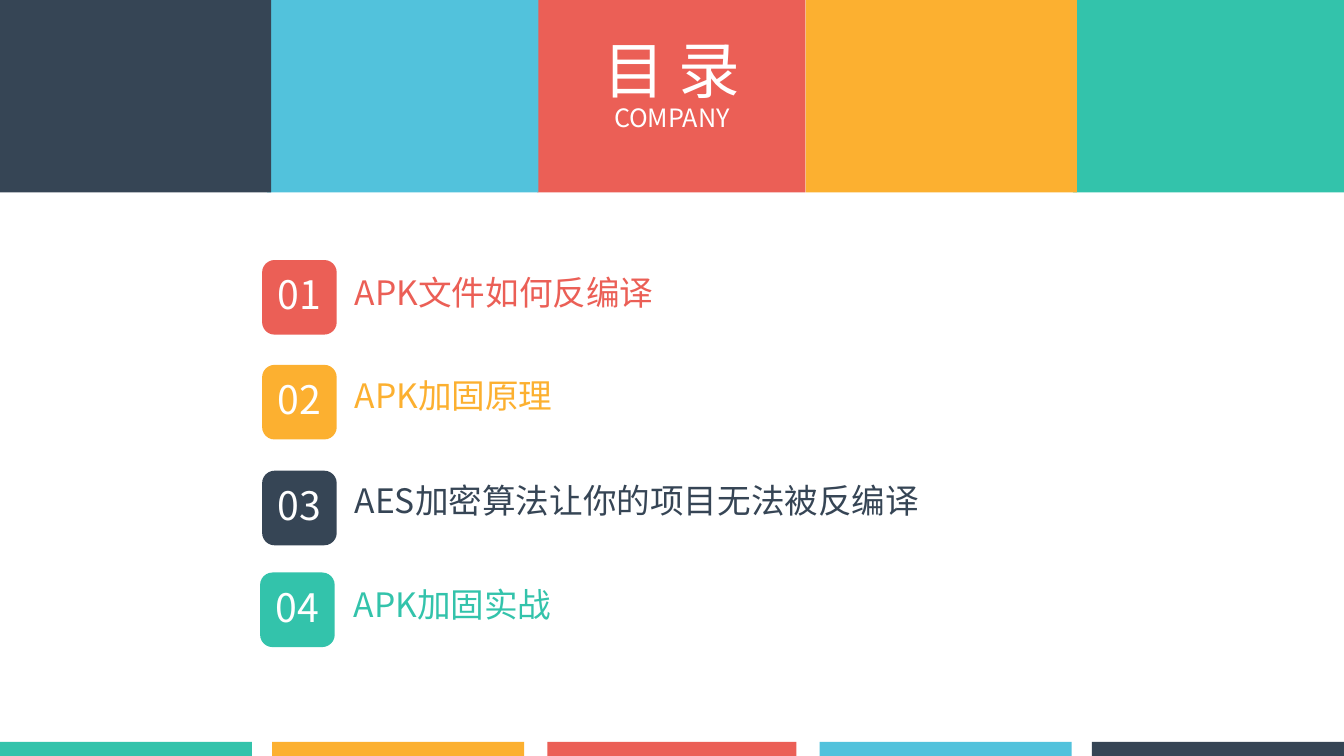
from pptx import Presentation
from pptx import util as u
from pptx.dml.color import RGBColor
from pptx.enum import shapes, text
from pptx.oxml.ns import qn
from lxml import etree

COLORS = {
    "green": "33C3AB",
    "yellow": "FCB030",
    "red": "EB5F56",
    "blue": "52C2DC",
    "navy": "364555",
    "white": "FFFFFF",
}
FONT = "Noto Sans CJK SC"


def write_text(frame, *lines, sizes, color, align=text.PP_ALIGN.LEFT,
               anchor=text.MSO_ANCHOR.TOP, wrap=True, spacing=0.87):
    frame.word_wrap = wrap
    frame.vertical_anchor = anchor
    for index, (line, size) in enumerate(zip(lines, sizes)):
        paragraph = frame.add_paragraph() if index else frame.paragraphs[0]
        paragraph.alignment = align
        paragraph.line_spacing = spacing
        run = paragraph.add_run()
        run.text = line
        run.font.size = u.Pt(size)
        run.font.name = FONT
        run.font.color.rgb = RGBColor.from_string(COLORS[color])
        east_asian = etree.SubElement(run.font._element, qn("a:ea"))
        east_asian.set("typeface", FONT)


class AgendaSlide:
    def __init__(self, presentation):
        self.slide = presentation.slides.add_slide(presentation.slide_layouts[6])

    def block(self, left, top, width, height, color,
              kind=shapes.MSO_SHAPE.RECTANGLE):
        block = self.slide.shapes.add_shape(
            kind, u.Inches(left), u.Inches(top), u.Inches(width), u.Inches(height))
        block.shadow.inherit = False
        block.fill.solid()
        block.fill.fore_color.rgb = RGBColor.from_string(COLORS[color])
        block.line.fill.background()
        return block

    def label(self, left, top, width, height, *lines, **style):
        label = self.slide.shapes.add_textbox(
            u.Inches(left), u.Inches(top), u.Inches(width), u.Inches(height))
        write_text(label.text_frame, *lines, **style)

    def entry(self, number, left, top, title_left, title_top, width, title, color):
        badge = self.block(left, top, 0.74, 0.74, color,
                           shapes.MSO_SHAPE.ROUNDED_RECTANGLE)
        write_text(badge.text_frame, f"{number:02d}", sizes=[28], color="white",
                   align=text.PP_ALIGN.CENTER, anchor=text.MSO_ANCHOR.MIDDLE)
        self.label(title_left, title_top, width, 0.5, title, sizes=[24], color=color)


def main():
    presentation = Presentation()
    presentation.slide_width = u.Inches(13.33)
    presentation.slide_height = u.Inches(7.5)
    agenda = AgendaSlide(presentation)

    header = [(10.64, 2.69, "green"), (7.99, 2.69, "yellow"), (5.33, 2.66, "red"),
              (2.65, 2.69, "blue"), (0, 2.69, "navy")]
    for left, width, color in header:
        agenda.block(left, 0, width, 1.91, color)
    agenda.label(5.85, 0.37, 1.63, 1.18, "目 录", "COMPANY", sizes=[44, 18],
                 color="white", align=text.PP_ALIGN.CENTER, wrap=False)

    footer = [(0, 2.5, "green"), (2.7, 2.5, "yellow"), (5.43, 2.47, "red"),
              (8.13, 2.5, "blue"), (10.83, 2.5, "navy")]
    for left, width, color in footer:
        agenda.block(left, 7.36, width, 0.14, color)

    entries = [
        (2.6, 2.58, 3.42, 2.7, 5.21, "APK文件如何反编译", "red"),
        (2.6, 3.62, 3.42, 3.73, 8.7, "APK加固原理", "yellow"),
        (2.6, 4.67, 3.42, 4.77, 8.29, "AES加密算法让你的项目无法被反编译", "navy"),
        (2.58, 5.68, 3.41, 5.8, 6.4, "APK加固实战", "green"),
    ]
    for number, details in enumerate(entries, 1):
        agenda.entry(number, *details)

    presentation.save("out.pptx")


if __name__ == "__main__":
    main()
